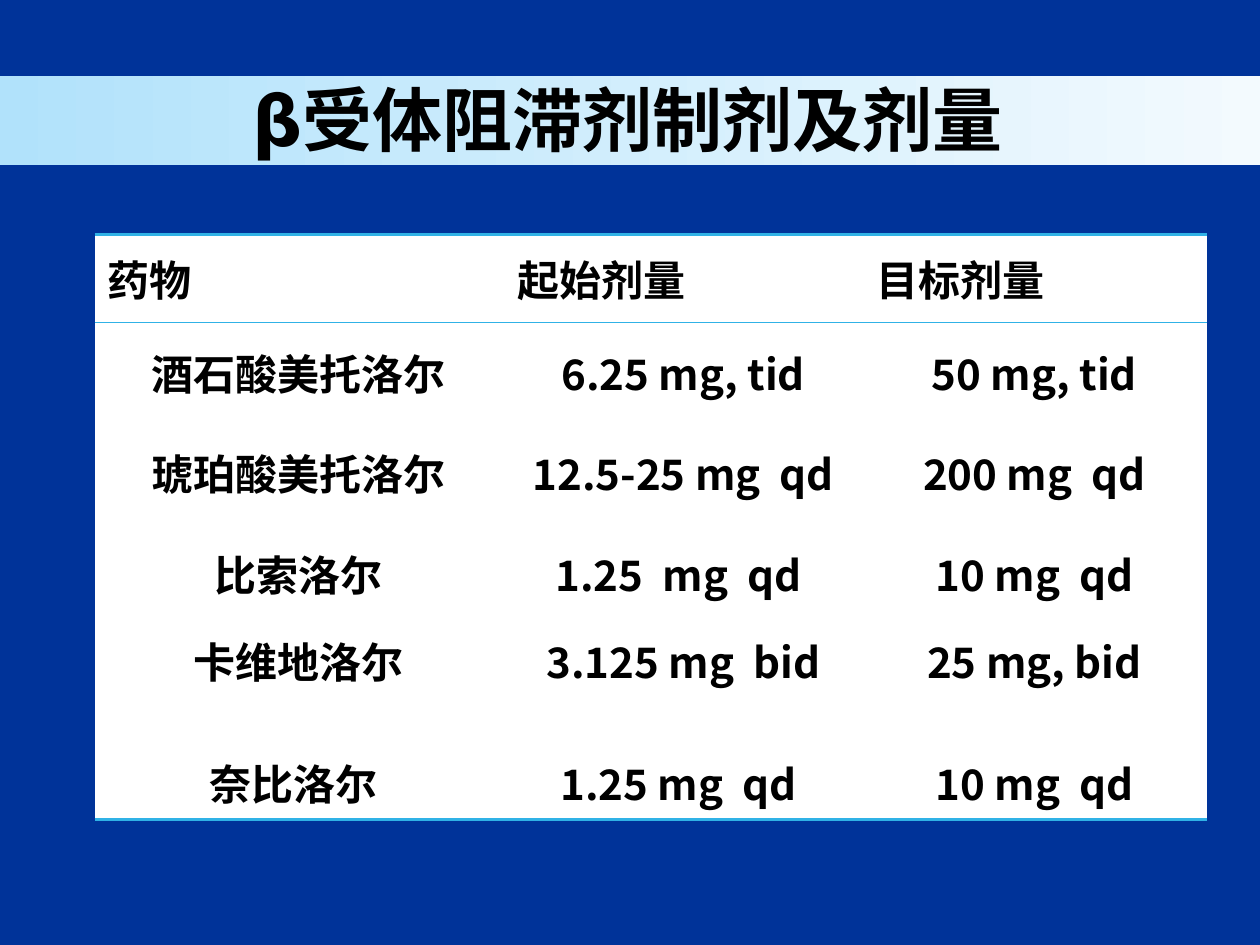
from dataclasses import dataclass

from lxml import etree
from pptx import Presentation
from pptx.dml import color
from pptx.enum import shapes, text
from pptx.oxml import ns
from pptx.util import Pt

NAVY, WHITE, BLACK, SKY = "003399", "FFFFFF", "000000", "30B2E6"
NO_STYLE = "{2D5ABB26-0587-4C30-8999-92F81FD0307C}"
COLUMNS = (234.6, 205, 196.4)
LEFT, CENTER = text.PP_ALIGN.LEFT, text.PP_ALIGN.CENTER


@dataclass
class Row:
    height: float
    cells: tuple
    font: str = "Noto Sans CJK SC"
    align: text.PP_ALIGN = CENTER
    top: float = 0
    bottom: float = 0


ROWS = (
    Row(50.4, ("药物", "起始剂量", "目标剂量"), "Arial", LEFT, 2.25, 1),
    Row(57, ("酒石酸美托洛尔", "6.25 mg, tid", "50 mg, tid"), top=1),
    Row(57.5, ("琥珀酸美托洛尔", "12.5-25 mg  qd", "200 mg  qd")),
    Row(57.5, ("比索洛尔", "1.25  mg  qd ", "10 mg  qd")),
    Row(94, ("卡维地洛尔\n奈比洛尔 ", "3.125 mg  bid\n1.25 mg  qd ",
             "25 mg, bid\n10 mg  qd"), bottom=2.25),
)


def rgb(value: str) -> color.RGBColor:
    return color.RGBColor.from_string(value)


def style(p, font: str, size: float, align) -> None:
    p.alignment = align
    p.font.name = font
    p.font.size = Pt(size)
    p.font.bold = True
    p.font.color.rgb = rgb(BLACK)


def add_band(s) -> None:
    sp = s.shapes.add_shape(shapes.MSO_SHAPE.RECTANGLE, 0, Pt(43.2), Pt(720), Pt(51))
    sp.shadow.inherit = False
    sp.line.fill.background()
    sp.fill.gradient()
    sp.fill.gradient_angle = 0
    for stop, value in zip(sp.fill.gradient_stops, ("B1E2FB", "F3FAFE")):
        stop.color.rgb = rgb(value)
    s.shapes.title._element.addprevious(sp._element)


def add_title(s, words: str) -> None:
    sp = s.shapes.title
    sp.left, sp.top, sp.width, sp.height = Pt(76.3), Pt(31.7), Pt(564.5), Pt(72)
    tf = sp.text_frame
    tf.text = words
    tf.auto_size = text.MSO_AUTO_SIZE.NONE
    tf.vertical_anchor = text.MSO_ANCHOR.MIDDLE
    style(tf.paragraphs[0], "DejaVu Sans", 40, CENTER)


def set_borders(cell, top: float, bottom: float) -> None:
    tcPr = cell._tc.get_or_add_tcPr()
    for i, (side, width) in enumerate((("L", 0), ("R", 0), ("T", top), ("B", bottom))):
        ln = etree.Element(ns.qn(f"a:ln{side}"), w=str(Pt(width)))
        if width:
            fill = etree.SubElement(ln, ns.qn("a:solidFill"))
            etree.SubElement(fill, ns.qn("a:srgbClr"), val=SKY)
        else:
            etree.SubElement(ln, ns.qn("a:noFill"))
        tcPr.insert(i, ln)


def fill_cell(cell, words: str, row: Row) -> None:
    cell.fill.solid()
    cell.fill.fore_color.rgb = rgb(WHITE)
    cell.vertical_anchor = text.MSO_ANCHOR.MIDDLE
    cell.margin_left, cell.margin_right = Pt(7.2), Pt(8.6)
    cell.margin_top = cell.margin_bottom = Pt(3.6)
    tf = cell.text_frame
    tf.text = words
    for i, p in enumerate(tf.paragraphs):
        p.space_before = Pt(35 if i else 0)
        style(p, row.font, 24, row.align)
    set_borders(cell, row.top, row.bottom)


def add_dose_table(s) -> None:
    height = sum(row.height for row in ROWS)
    frame = s.shapes.add_table(len(ROWS), len(COLUMNS), Pt(54), Pt(134),
                               Pt(sum(COLUMNS)), Pt(height))
    table = frame.table
    table.first_row = table.horz_banding = False
    table._tbl.tblPr.find(ns.qn("a:tableStyleId")).text = NO_STYLE
    for column, width in zip(table.columns, COLUMNS):
        column.width = Pt(width)
    for line, row in zip(table.rows, ROWS):
        line.height = Pt(row.height)
        for cell, words in zip(line.cells, row.cells):
            fill_cell(cell, words, row)


def main() -> None:
    prs = Presentation()
    prs.slide_width, prs.slide_height = Pt(720), Pt(540)
    s = prs.slides.add_slide(prs.slide_layouts[5])
    s.background.fill.solid()
    s.background.fill.fore_color.rgb = rgb(NAVY)
    add_band(s)
    add_title(s, "β受体阻滞剂制剂及剂量")
    add_dose_table(s)
    prs.save("out.pptx")


if __name__ == "__main__":
    main()
